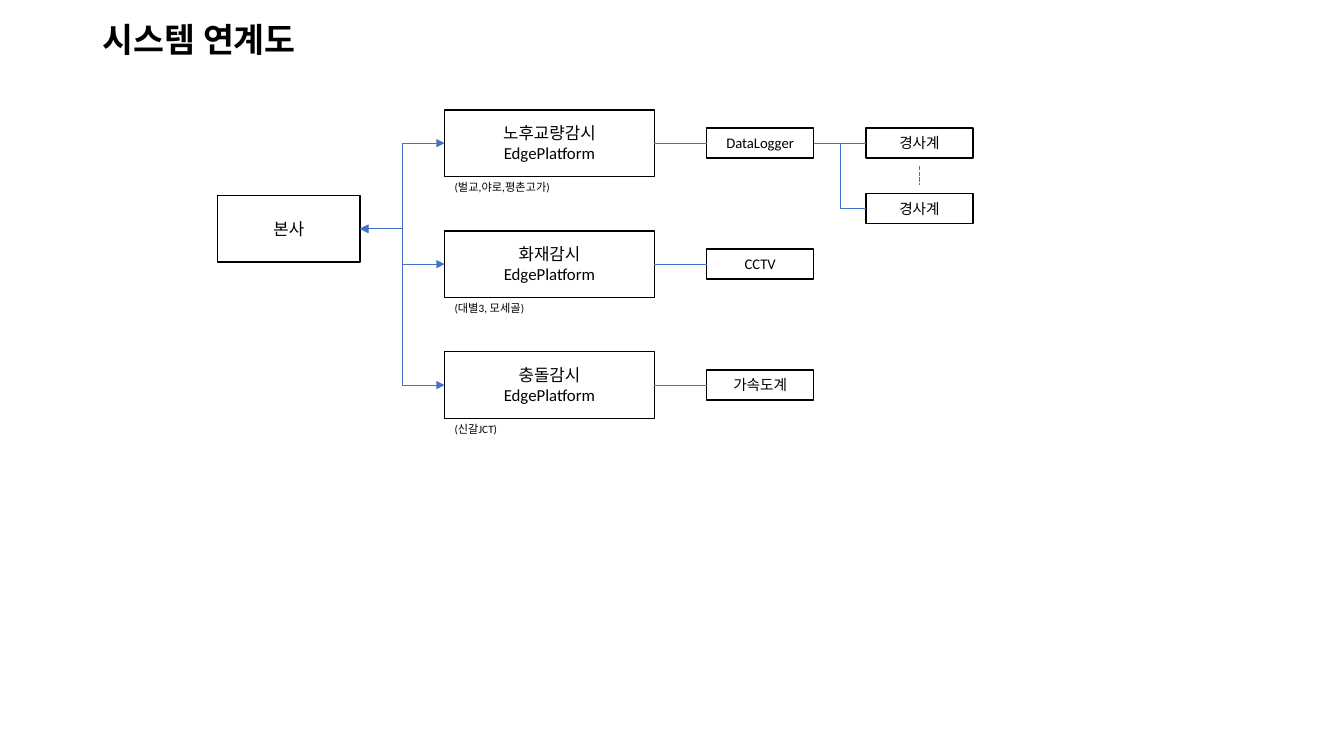
from lxml import etree
from pptx import Presentation
from pptx.dml.color import RGBColor
from pptx.enum.dml import MSO_LINE
from pptx.enum.shapes import MSO_CONNECTOR, MSO_SHAPE
from pptx.enum.text import MSO_ANCHOR, PP_ALIGN
from pptx.oxml.ns import qn
from pptx.util import Pt

SCALE = 9144
RECT = MSO_SHAPE.RECTANGLE
LINE, ELBOW = MSO_CONNECTOR.STRAIGHT, MSO_CONNECTOR.ELBOW
MIDDLE, TOP = MSO_ANCHOR.MIDDLE, MSO_ANCHOR.TOP
CENTER, LEFT = PP_ALIGN.CENTER, PP_ALIGN.LEFT
DASH = MSO_LINE.SQUARE_DOT
BLANK = 6
EAST, WEST = 3, 1


def px(*nums):
    return [n * SCALE for n in nums]


def color(code):
    return RGBColor.from_string(code)


def assign(item, values):
    for name, value in values.items():
        setattr(item, name, value)


class Chart:
    """Draws boxes, texts and links on one slide in one style."""

    font, ink, paper, blue = "Calibri", "000000", "FFFFFF", "4472C4"

    def __init__(self, slide):
        self.shapes = slide.shapes

    def label(self, shape, lines, size, bold=False, anchor=MIDDLE, **layout):
        frame = shape.text_frame
        assign(frame, {"word_wrap": True, "vertical_anchor": anchor})
        frame.text = "\n".join(lines)
        for para in frame.paragraphs:
            assign(para, layout)
            for run in para.runs:
                assign(run.font, {"name": self.font, "size": Pt(size), "bold": bold})
                run.font.color.rgb = color(self.ink)

    def text(self, area, words, size, **style):
        box = self.shapes.add_textbox(*px(*area))
        self.label(box, [words], size, **style)

    def box(self, area, lines, size):
        shape = self.shapes.add_shape(RECT, *px(*area))
        shape.shadow.inherit = False
        shape.fill.solid()
        shape.fill.fore_color.rgb = color(self.paper)
        shape.line.color.rgb = color(self.ink)
        shape.line.width = Pt(1)
        self.label(shape, lines, size, alignment=CENTER)
        return shape

    def line(self, ends=(0, 0, 0, 0), kind=LINE, **style):
        link = self.shapes.add_connector(kind, *px(*ends))
        link.line.color.rgb = color(self.blue)
        assign(link.line, {"width": Pt(0.5), **style})
        etree.SubElement(link._element.spPr, qn("a:effectLst"))
        return link

    def join(self, start, end, kind=LINE, arrows=False):
        link = self.line(kind=kind)
        link.begin_connect(start, EAST)
        link.end_connect(end, WEST)
        if arrows:
            stroke = link._element.spPr.find(qn("a:ln"))
            for tag in ("a:headEnd", "a:tailEnd"):
                etree.SubElement(stroke, qn(tag), type="triangle")


def main():
    deck = Presentation()
    deck.slide_width, deck.slide_height = px(1333, 750)
    chart = Chart(deck.slides.add_slide(deck.slide_layouts[BLANK]))

    chart.text((92, 15, 1150, 52), "시스템 연계도", 24, bold=True,
               alignment=LEFT, line_spacing=0.9)
    office = chart.box((216, 194, 141, 66), ["본사"], 12)

    rows = [
        ("노후교량감시", "DataLogger", "(벌교,야로,평촌고가)", 122),
        ("화재감시", "CCTV", "(대별3, 모세골)", 94),
        ("충돌감시", "가속도계", "(신갈JCT)", 94),
    ]
    nodes = []
    for i, (name, device, sites, width) in enumerate(rows):
        top = 109 + 120 * i
        edge = chart.box((441, top, 208, 66), [name, "EdgePlatform"], 12)
        node = chart.box((701, top + 18, 106, 30), [device], 10.5)
        chart.join(office, edge, ELBOW, arrows=True)
        chart.join(edge, node)
        chart.text((441, top + 65, width, 24), sites, 8, anchor=TOP, alignment=LEFT)
        nodes.append(node)

    for top, kind in ((127, LINE), (192, ELBOW)):
        gauge = chart.box((859, top, 106, 30), ["경사계"], 10.5)
        chart.join(nodes[0], gauge, kind)
    chart.line((912, 165, 912, 184), width=Pt(1), dash_style=DASH)

    deck.save("out.pptx")


if __name__ == "__main__":
    main()
